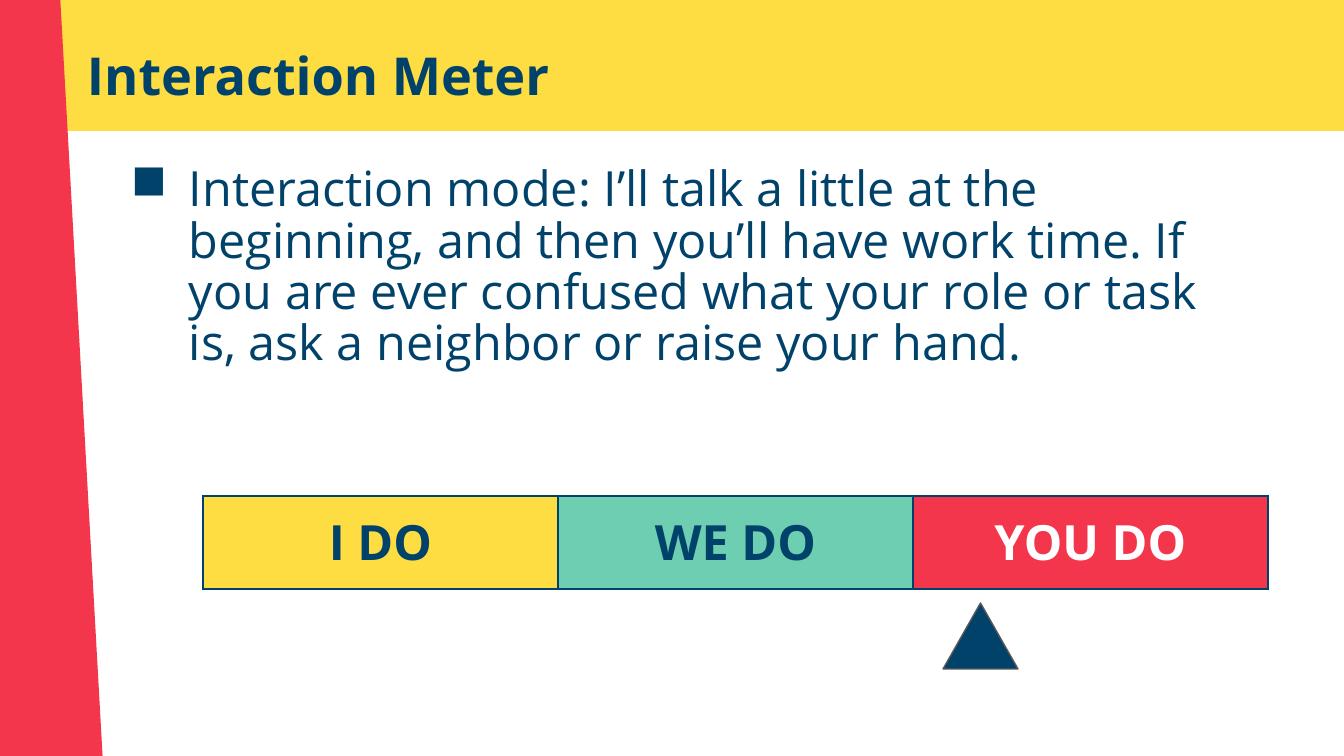
from pptx import Presentation
from pptx.dml.color import RGBColor
from pptx.enum.shapes import MSO_SHAPE as Shape
from pptx.enum.text import PP_ALIGN as Align
from pptx.oxml import parse_xml
from pptx.oxml.ns import nsdecls
from pptx.util import Pt

SCALE = 914400 / 134.4
NAVY, YELLOW, RED, GREEN, WHITE, GREY = "01426A", "FDDD41", "F4364C", "6ECEB2", "FFFFFF", "595959"
SLIDE_SIZE = (1344, 756)
INSET = 13

TITLE = "Interaction Meter"
BODY = (
    "Interaction mode: I’ll talk a little at the beginning, and then you’ll have work time. "
    "If you are ever confused what your role or task is, ask a neighbor or raise your hand."
)
METER = [("I DO", YELLOW, NAVY), ("WE DO", GREEN, NAVY), ("YOU DO", RED, WHITE)]
BANDS = [((-113, -3, 1478, 134), YELLOW, 0), ((-689, 94, 1372, 145), RED, 86.8)]
TITLE_BOX = (74, 35, 1253, 85)
BODY_BOX = (109, 153, 1159, 503)
METER_LEFT, METER_TOP, CELL_WIDTH, CELL_HEIGHT = 203, 496, 355, 93
POINTER_BOX = (943, 603, 75, 66)


def px(value):
    """Turn px into EMU."""
    return round(value * SCALE)


def color(value):
    """Turn a hex string into a colour."""
    return RGBColor.from_string(value)


def fill(target, value):
    """Give a shape or cell a solid fill."""
    target.fill.solid()
    target.fill.fore_color.rgb = color(value)


def set_all(target, values):
    """Set attributes from a dict."""
    for name, value in values.items():
        setattr(target, name, value)


def write(frame, text, size, ink, bold=False, **layout):
    """Fill the first paragraph of a text frame."""
    paragraph = frame.paragraphs[0]
    paragraph.text = text
    set_all(paragraph, layout)
    set_all(paragraph.runs[0].font, {"name": "Open Sans", "size": Pt(size), "bold": bold})
    paragraph.runs[0].font.color.rgb = color(ink)
    return paragraph


def add_shape(slide, kind, box, paint, rotation=0):
    """Add a filled shape with no outline or shadow."""
    shape = slide.shapes.add_shape(kind, *map(px, box))
    shape.shadow.inherit = False
    shape.rotation = rotation
    fill(shape, paint)
    shape.line.fill.background()
    return shape


def add_text(slide, box, text, size, **layout):
    """Add a wrapped text box and return its paragraph."""
    frame = slide.shapes.add_textbox(*map(px, box)).text_frame
    sides = ("left", "top", "right", "bottom")
    set_all(frame, {"word_wrap": True, **{f"margin_{side}": px(INSET) for side in sides}})
    return write(frame, text, size, NAVY, **layout)


def add_bullet(paragraph, mark, left, hang):
    """Give a paragraph a hanging bullet."""
    properties = paragraph._p.get_or_add_pPr()
    properties.set("marL", str(px(left)))
    properties.set("indent", str(px(-hang)))
    for xml in (
        f'<a:buClr {nsdecls("a")}><a:srgbClr val="{NAVY}"/></a:buClr>',
        f'<a:buChar {nsdecls("a")} char="{mark}"/>',
    ):
        properties.append(parse_xml(xml))


def add_borders(cell):
    """Outline a cell on all four sides."""
    properties = cell._tc.get_or_add_tcPr()
    for index, side in enumerate("LRTB"):
        properties.insert(index, parse_xml(
            f'<a:ln{side} {nsdecls("a")} w="{Pt(1.5)}"><a:solidFill>'
            f'<a:srgbClr val="{NAVY}"/></a:solidFill></a:ln{side}>'
        ))


def add_meter(slide):
    """Add the one-row meter table."""
    box = (METER_LEFT, METER_TOP, CELL_WIDTH * len(METER), CELL_HEIGHT)
    table = slide.shapes.add_table(1, len(METER), *map(px, box)).table
    set_all(table, {"first_row": False, "horz_banding": False})
    for column, (label, paint, ink) in enumerate(METER):
        table.columns[column].width = px(CELL_WIDTH)
        cell = table.cell(0, column)
        sides = ("left", "top", "right", "bottom")
        set_all(cell, {f"margin_{side}": px(INSET) for side in sides})
        fill(cell, paint)
        add_borders(cell)
        write(cell.text_frame, label, 26, ink, bold=True, alignment=Align.CENTER)


def main():
    """Build and save the slide."""
    presentation = Presentation()
    presentation.slide_width, presentation.slide_height = map(px, SLIDE_SIZE)
    slide = presentation.slides.add_slide(presentation.slide_layouts[6])
    for box, paint, rotation in BANDS:
        add_shape(slide, Shape.RECTANGLE, box, paint, rotation)
    add_text(slide, TITLE_BOX, TITLE, 28, bold=True, line_spacing=0.95)
    body = add_text(slide, BODY_BOX, BODY, 26, line_spacing=0.88)
    add_bullet(body, "■", 67, 58)
    add_meter(slide)
    pointer = add_shape(slide, Shape.ISOSCELES_TRIANGLE, POINTER_BOX, NAVY)
    pointer.line.color.rgb = color(GREY)
    pointer.line.width = Pt(0.75)
    presentation.save("out.pptx")


if __name__ == "__main__":
    main()
